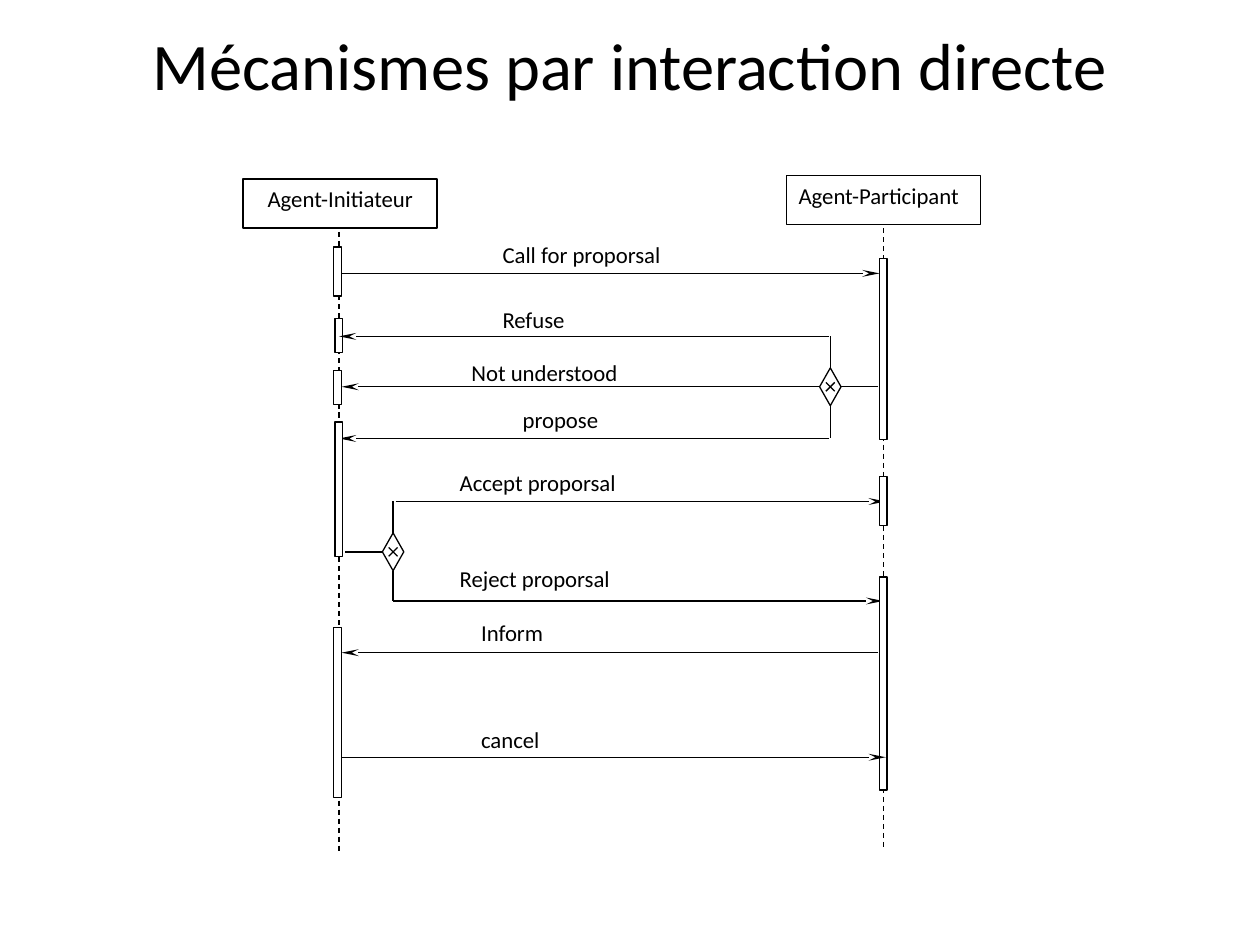
from lxml.etree import SubElement
from pptx import Presentation
from pptx.dml.color import RGBColor
from pptx.enum.dml import MSO_LINE_DASH_STYLE as Dash
from pptx.enum.shapes import MSO_CONNECTOR as Link, MSO_SHAPE as Shape
from pptx.enum.text import MSO_ANCHOR as Anchor, PP_ALIGN as Align
from pptx.oxml.ns import qn
from pptx.util import Inches, Pt

BLACK, WHITE = "000000", "FFFFFF"
BAR_WIDTH = 0.06
INITIATOR, PARTICIPANT = 2.69, 7.01
INITIATOR_BARS = [(2.65, 1.96, 0.39), (2.66, 2.53, 0.27), (2.65, 2.94, 0.27),
                  (2.66, 3.35, 1.07), (2.65, 4.98, 1.35)]
PARTICIPANT_BARS = [(6.98, 2.05, 1.44), (6.98, 3.78, 0.39), (6.98, 4.58, 1.69)]
ARROWS_UNDER_BARS = [(2.69, 6.98, 2.17), (6.58, 2.69, 3.48),
                     (3.14, 7.03, 3.98), (3.12, 7.01, 4.77)]
ARROWS_OVER_BARS = [(6.58, 2.69, 2.67), (6.5, 2.71, 3.07),
                    (6.97, 2.71, 5.18), (2.71, 7.03, 6.01)]
MESSAGES = [
    ("Call for proporsal", 3.89, 1.86, 1.72, Align.LEFT),
    ("Refuse", 3.89, 2.38, 1.03, Align.LEFT),
    ("Not understood", 3.55, 2.8, 1.54, Align.CENTER),
    ("propose", 4.05, 3.17, 0.87, Align.LEFT),
    ("Accept proporsal", 3.55, 3.67, 2.06, Align.LEFT),
    ("Reject proporsal", 3.55, 4.43, 1.52, Align.LEFT),
    ("Inform", 3.72, 4.86, 1.03, Align.LEFT),
    ("cancel", 3.72, 5.71, 0.86, Align.LEFT),
]


def color(value):
    """Turn a hex string into a colour."""
    return RGBColor.from_string(value)


def set_values(target, values):
    """Set each attribute of the target from a dict."""
    for name, value in values.items():
        setattr(target, name, value)


def style_line(line):
    """Give a line the diagram's thin black stroke."""
    line.color.rgb = color(BLACK)
    line.width = Pt(0.75)


def write_text(box, text, size=13, align=Align.LEFT):
    """Write one top-anchored paragraph into a box."""
    set_values(box.text_frame, {"word_wrap": True, "vertical_anchor": Anchor.TOP})
    para = box.text_frame.paragraphs[0]
    para.alignment = align
    span = para.add_run()
    span.text = text
    set_values(span.font, {"name": "Calibri", "size": Pt(size)})
    span.font.color.rgb = color(BLACK)


def add_label(page, text, left, top, width, align, height=0.39, size=13):
    """Add a free text label."""
    box = page.shapes.add_textbox(*map(Inches, (left, top, width, height)))
    write_text(box, text, size, align)


def add_outline(page, kind, left, top, width, height, fill=None):
    """Add an outlined shape, hollow unless a fill is given."""
    shape = page.shapes.add_shape(kind, *map(Inches, (left, top, width, height)))
    shape.shadow.inherit = False
    if fill:
        shape.fill.solid()
        shape.fill.fore_color.rgb = color(fill)
    else:
        shape.fill.background()
    style_line(shape.line)
    return shape


def add_line(page, x1, y1, x2, y2, dash=None, arrow=False):
    """Add a straight line, optionally dashed or with an arrowhead."""
    line = page.shapes.add_connector(Link.STRAIGHT, *map(Inches, (x1, y1, x2, y2)))
    style_line(line.line)
    if dash:
        line.line.dash_style = dash
    if arrow:
        SubElement(line.line._get_or_add_ln(), qn("a:tailEnd"),
                   type="stealth", w="sm", len="lg")
    SubElement(line._element.spPr, qn("a:effectLst"))


def add_agent(page, name, axis, left, top, align):
    """Add an agent's header and its dashed lifeline."""
    width, height, life = 1.54, 0.39, 4.92
    start = top + height + 0.03
    add_line(page, axis, start, axis, start + life, dash=Dash.DASH)
    header = add_outline(page, Shape.RECTANGLE, left, top, width, height)
    write_text(header, name, align=align)


def add_arrows(page, arrows):
    """Add horizontal message arrows."""
    for start, end, y in arrows:
        add_line(page, start, y, end, y, arrow=True)


def add_decision(page, x, y, source, upper, lower):
    """Add a crossed diamond fed from a bar and branching up and down."""
    half_width, half_height, arm = 0.085, 0.15, 0.035
    add_line(page, source, y, x, y)
    add_outline(page, Shape.FLOWCHART_DECISION, x - half_width, y - half_height,
                2 * half_width, 2 * half_height, WHITE)
    add_line(page, x, y - half_height, x, upper)
    add_line(page, x, y + half_height, x, lower)
    for slope in (-arm, arm):
        add_line(page, x - arm, y - slope, x + arm, y + slope)


def main():
    """Build the interaction diagram slide."""
    deck = Presentation()
    set_values(deck, {"slide_width": Inches(10), "slide_height": Inches(7.5)})
    page = deck.slides.add_slide(deck.slide_layouts[6])
    add_label(page, "Mécanismes par interaction directe", 0.5, 0.14, 9,
              Align.CENTER, height=0.87, size=38)
    add_agent(page, "Agent-Initiateur", INITIATOR, 1.93, 1.42, Align.CENTER)
    add_agent(page, "Agent-Participant", PARTICIPANT, 6.24, 1.39, Align.LEFT)
    add_arrows(page, ARROWS_UNDER_BARS)
    for left, top, height in INITIATOR_BARS + PARTICIPANT_BARS:
        add_outline(page, Shape.RECTANGLE, left, top, BAR_WIDTH, height, WHITE)
    add_arrows(page, ARROWS_OVER_BARS)
    add_decision(page, 6.59, 3.07, 6.97, 2.67, 3.48)
    add_decision(page, 3.12, 4.38, 2.74, 3.98, 4.77)
    for message in MESSAGES:
        add_label(page, *message)
    deck.save("out.pptx")


if __name__ == "__main__":
    main()
